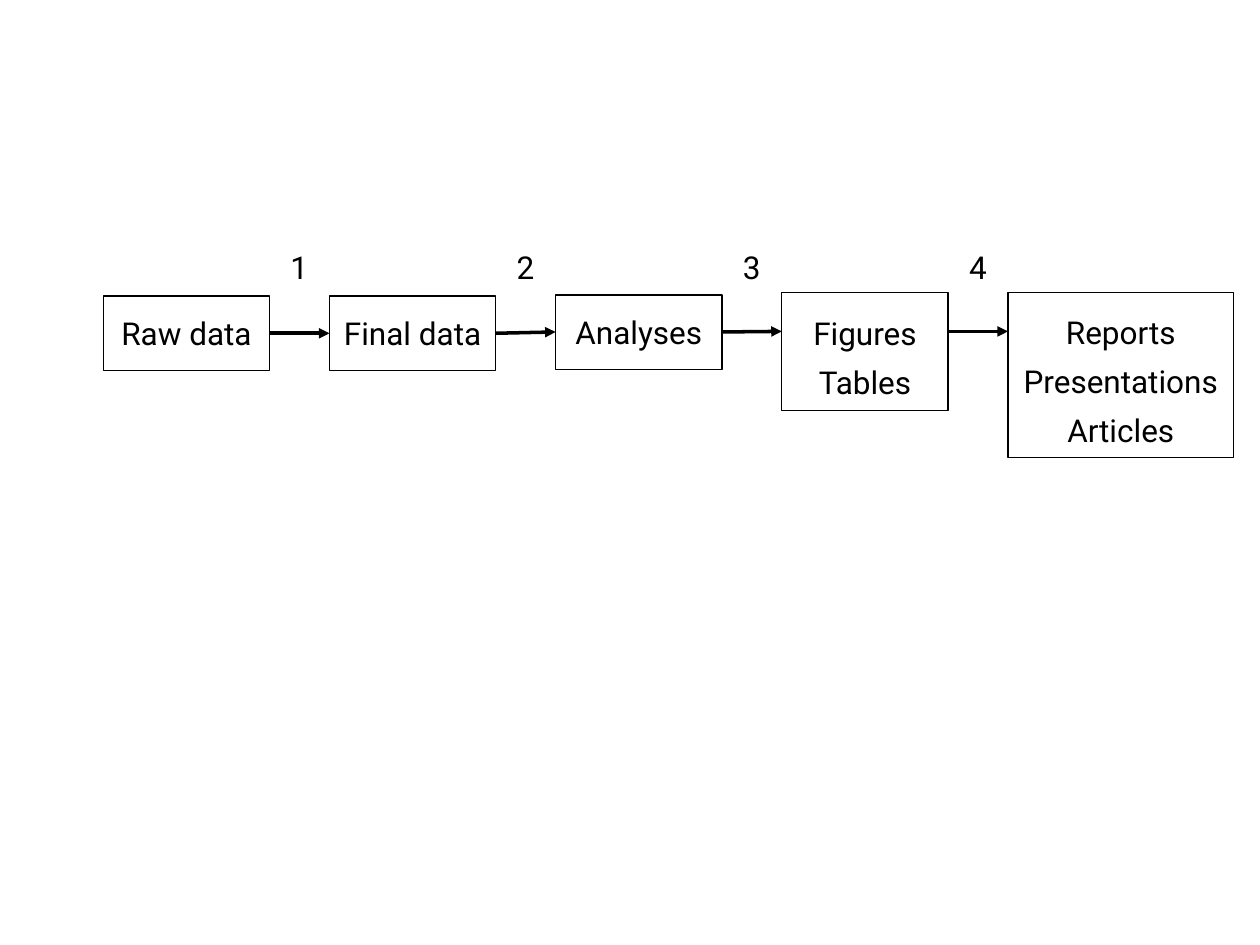
from lxml.etree import SubElement
from pptx import Presentation
from pptx.dml.color import RGBColor
from pptx.enum.shapes import MSO_CONNECTOR, MSO_SHAPE
from pptx.enum.text import MSO_ANCHOR, MSO_AUTO_SIZE, PP_ALIGN
from pptx.oxml.ns import qn
from pptx.util import Inches, Pt

STAGES = [
    {"lines": ["Raw data"], "top": 2.35, "width": 1.32},
    {"lines": ["Final data"], "top": 2.35, "width": 1.32},
    {"lines": ["Analyses"], "top": 2.34, "width": 1.32},
    {"lines": ["Figures", "Tables"], "top": 2.32, "width": 1.32},
    {"lines": ["Reports", "Presentations", "Articles"], "top": 2.32, "width": 1.79},
]
HEIGHTS = {1: 0.59, 2: 0.94, 3: 1.31}
COLORS = {"ink": "000000"}
FONT = "Roboto"
LEFT, PITCH = 0.82, 1.795
ARROW_Y = 2.63
NUMBER_TOP, NUMBER_WIDTH, NUMBER_HEIGHT = 1.92, 0.34, 0.4
RIGHT_SIDE, LEFT_SIDE = 3, 1

INK = RGBColor.from_string(COLORS["ink"])


def write(frame, lines, align):
    frame.text = "\n".join(lines)
    for paragraph in frame.paragraphs:
        paragraph.alignment = align
        paragraph.font.name = FONT
        paragraph.font.size = Pt(18)
        paragraph.font.color.rgb = INK
        if len(lines) > 1:
            paragraph.line_spacing = 1.3


def add_stage(slide, column, stage):
    box = slide.shapes.add_shape(
        MSO_SHAPE.RECTANGLE, Inches(LEFT + column * PITCH), Inches(stage["top"]),
        Inches(stage["width"]), Inches(HEIGHTS[len(stage["lines"])]))
    box.shadow.inherit = False
    box.fill.background()
    box.line.color.rgb = INK
    box.line.width = Pt(0.75)
    box.text_frame.vertical_anchor = MSO_ANCHOR.MIDDLE
    write(box.text_frame, stage["lines"], PP_ALIGN.CENTER)
    return box


def add_arrow(slide, source, target):
    y = Inches(ARROW_Y)
    arrow = slide.shapes.add_connector(
        MSO_CONNECTOR.STRAIGHT, source.left + source.width, y, target.left, y)
    if len(source.text_frame.paragraphs) == 1:
        arrow.begin_connect(source, RIGHT_SIDE)
    if len(target.text_frame.paragraphs) == 1:
        arrow.end_connect(target, LEFT_SIDE)
    arrow.line.color.rgb = INK
    arrow.line.width = Pt(2)
    SubElement(arrow.line._get_or_add_ln(), qn("a:tailEnd"), type="triangle")
    SubElement(arrow._element.spPr, qn("a:effectLst"))


def add_number(slide, number, source, target):
    middle = (source.left + source.width + target.left) // 2
    label = slide.shapes.add_textbox(
        middle - Inches(NUMBER_WIDTH / 2), Inches(NUMBER_TOP),
        Inches(NUMBER_WIDTH), Inches(NUMBER_HEIGHT))
    label.text_frame.word_wrap = False
    label.text_frame.auto_size = MSO_AUTO_SIZE.SHAPE_TO_FIT_TEXT
    write(label.text_frame, [str(number)], PP_ALIGN.LEFT)


def main():
    deck = Presentation()
    deck.slide_width, deck.slide_height = Inches(10), Inches(7.5)
    slide = deck.slides.add_slide(deck.slide_layouts[6])
    boxes = [add_stage(slide, column, stage) for column, stage in enumerate(STAGES)]
    for number, (source, target) in enumerate(zip(boxes, boxes[1:]), start=1):
        add_arrow(slide, source, target)
        add_number(slide, number, source, target)
    deck.save("out.pptx")


if __name__ == "__main__":
    main()
